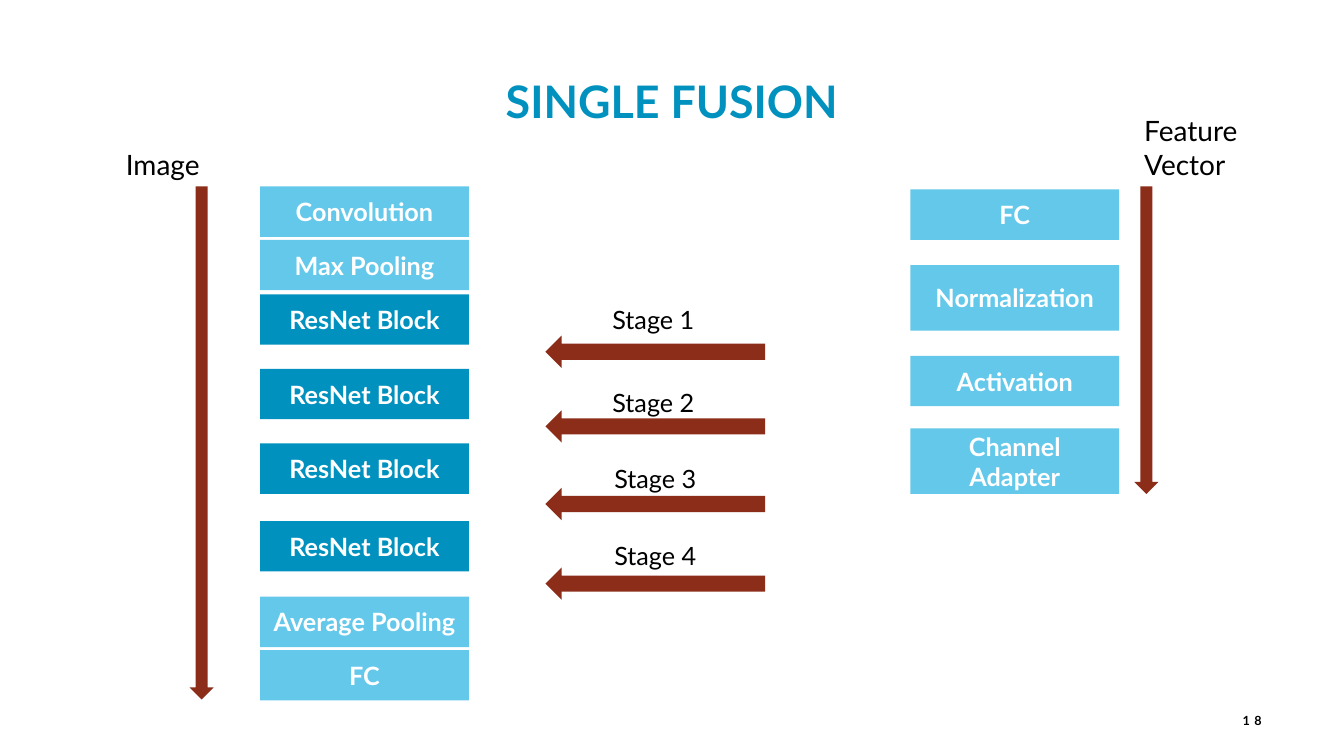
import pptx
import pptx.util
import pptx.dml.color
import pptx.enum.shapes
import pptx.enum.text

Inches = pptx.util.Inches
SHAPE = pptx.enum.shapes.MSO_SHAPE
ALIGN = pptx.enum.text.PP_ALIGN
ANCHOR = pptx.enum.text.MSO_ANCHOR

COLORS = {
    "dark": "0091BE",
    "light": "64C8EB",
    "arrow": "8C2D19",
    "white": "FFFFFF",
    "black": "000000",
}


def rgb(name):
    return pptx.dml.color.RGBColor.from_string(COLORS[name])


def write(frame, lines, size, color, bold=False, align=ALIGN.LEFT, space=0):
    frame.word_wrap = True
    for i, line in enumerate(lines):
        para = frame.paragraphs[0] if i == 0 else frame.add_paragraph()
        para.alignment = align
        run = para.add_run()
        run.text = line
        run.font.name = "Lato"
        run.font.size = pptx.util.Pt(size)
        run.font.bold = bold
        run.font.color.rgb = rgb(color)
        if space:
            run.font._element.set("spc", str(space * 100))


def label(slide, box, lines, size, color="black", anchor=ANCHOR.TOP, **style):
    frame = slide.shapes.add_textbox(*map(Inches, box)).text_frame
    frame.vertical_anchor = anchor
    write(frame, lines, size, color, **style)


def solid(shapes, kind, box, color):
    shape = shapes.add_shape(kind, *map(Inches, box))
    shape.shadow.inherit = False
    shape.fill.solid()
    shape.fill.fore_color.rgb = rgb(color)
    shape.line.fill.background()
    return shape


def stack(slide, left, blocks):
    group = slide.shapes.add_group_shape()
    for top, height, color, lines in blocks:
        block = solid(group.shapes, SHAPE.RECTANGLE, (left, top, 2.07, height), color)
        frame = block.text_frame
        frame.margin_left = frame.margin_right = Inches(0.05)
        frame.vertical_anchor = ANCHOR.MIDDLE
        write(frame, lines, 18, "white", bold=True, align=ALIGN.CENTER)


def stage(slide, num, left, text_top, arrow_top):
    solid(slide.shapes, SHAPE.LEFT_ARROW, (5.41, arrow_top, 2.18, 0.32), "arrow")
    label(slide, (left, text_top, 2.18, 0.4), [f"Stage {num}"], 18, align=ALIGN.CENTER)


def main():
    deck = pptx.Presentation()
    deck.slide_width = Inches(13.33)
    deck.slide_height = Inches(7.5)
    slide = deck.slides.add_slide(deck.slide_layouts[6])

    label(slide, (0, 0.68, 13.33, 0.64), ["SINGLE FUSION"], 32, "dark",
          bold=True, align=ALIGN.CENTER)
    label(slide, (11.82, 6.95, 0.79, 0.4), ["18"], 9, anchor=ANCHOR.MIDDLE,
          bold=True, align=ALIGN.RIGHT, space=3)

    label(slide, (1.15, 1.41, 1.1, 0.44), ["Image"], 20)
    solid(slide.shapes, SHAPE.DOWN_ARROW, (1.88, 1.85, 0.24, 5.09), "arrow")
    plain = [(1.85, "Convolution"), (2.38, "Max Pooling"),
             (5.92, "Average Pooling"), (6.45, "FC")]
    blocks = [(top, 0.5, "light", [name]) for top, name in plain]
    blocks += [(top, 0.5, "dark", ["ResNet Block"]) for top in (2.92, 3.66, 4.4, 5.17)]
    stack(slide, 2.58, sorted(blocks))

    label(slide, (11.25, 1.08, 1.8, 0.77), ["Feature", "Vector"], 20)
    solid(slide.shapes, SHAPE.DOWN_ARROW, (11.25, 1.85, 0.24, 3.05), "arrow")
    stack(slide, 9.03, [
        (1.88, 0.5, "light", ["FC"]),
        (2.63, 0.65, "light", ["Normalization"]),
        (3.53, 0.5, "light", ["Activation"]),
        (4.25, 0.65, "light", ["Channel", "Adapter"]),
    ])

    stages = [(5.39, 2.97, 3.33), (5.39, 3.79, 4.07),
              (5.41, 4.55, 4.84), (5.41, 5.31, 5.63)]
    for num, place in enumerate(stages, 1):
        stage(slide, num, *place)

    deck.save("out.pptx")


if __name__ == "__main__":
    main()
